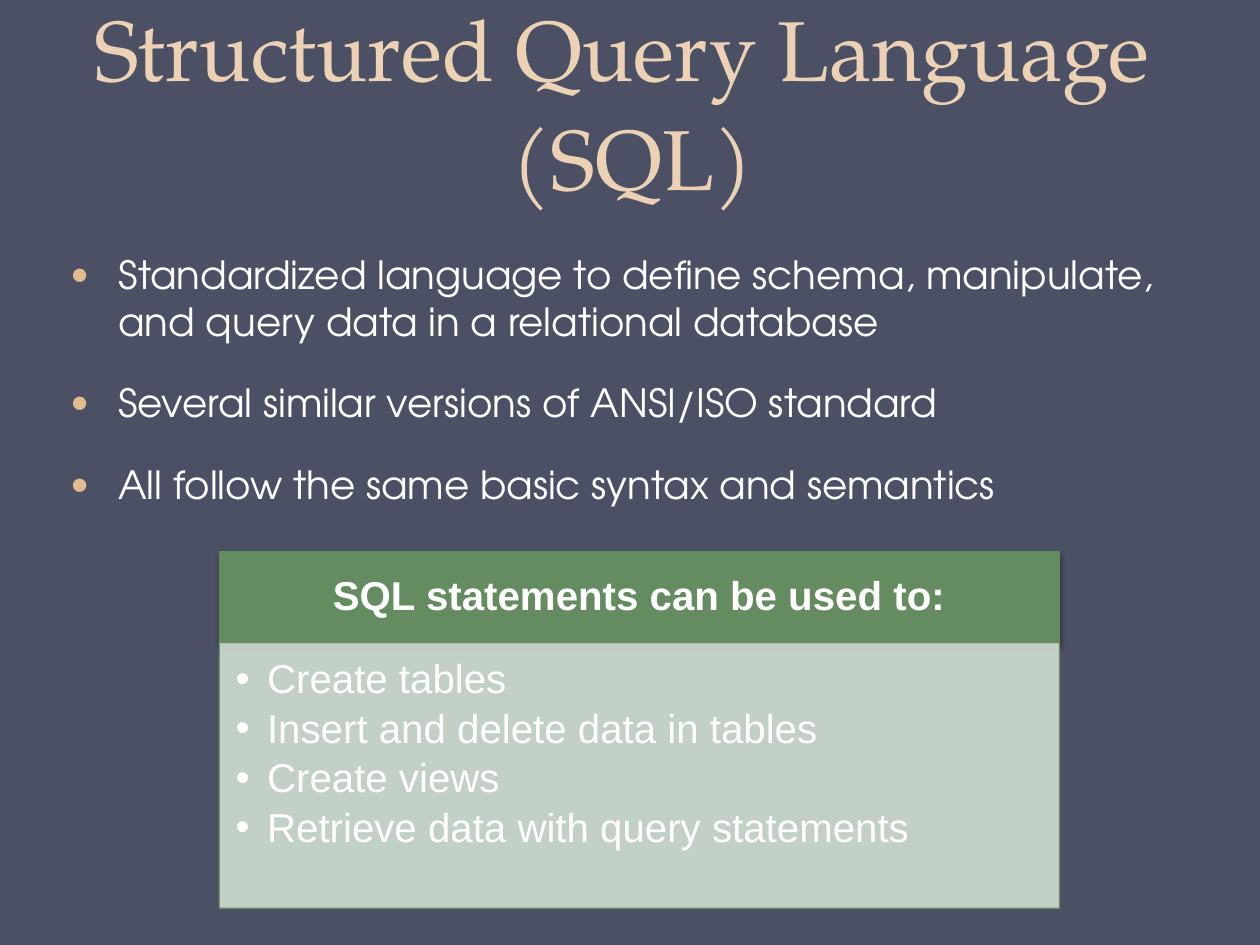
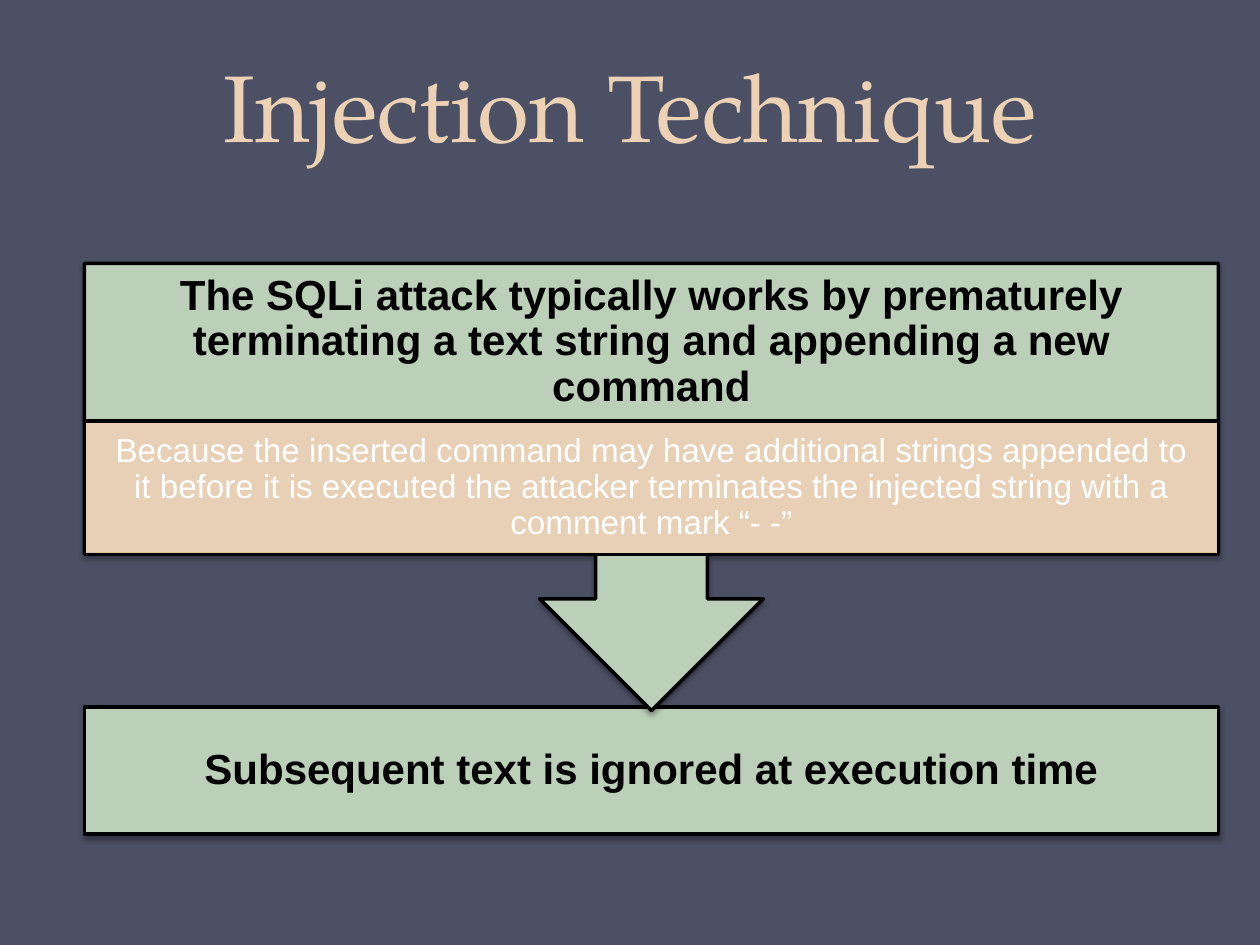
from lxml import etree
from pptx import Presentation
from pptx.dml.color import RGBColor
from pptx.enum.shapes import MSO_SHAPE
from pptx.enum.text import MSO_ANCHOR, PP_ALIGN
from pptx.oxml.ns import qn
from pptx.util import Inches, Pt

RECTANGLE = MSO_SHAPE.RECTANGLE
ARROW_CALLOUT = MSO_SHAPE.UP_ARROW_CALLOUT
TOP, MIDDLE, BOTTOM = MSO_ANCHOR.TOP, MSO_ANCHOR.MIDDLE, MSO_ANCHOR.BOTTOM
LEFT, CENTER = PP_ALIGN.LEFT, PP_ALIGN.CENTER

COLORS = {
    "background": "4B5064",
    "title": "ECD1B5",
    "body": "FEFEFE",
    "body bullet": "E3BB91",
    "white": "FFFFFF",
    "black": "000000",
    "green": "648C60",
    "pale green": "D1DED0",
    "soft green": "BBCFB9",
    "sand": "ECD1B5",
}
TITLE_FONT = "TeX Gyre Pagella"
BODY_FONT = "TeX Gyre Adventor"
PANEL_FONT = "Arial"
TEXT_INSETS = (0.1, 0.05, 0.1, 0.05)


def color(name):
    """Return the named colour."""
    return RGBColor.from_string(COLORS[name])


def add_xml(parent, tag, **attributes):
    """Append a DrawingML element and return it."""
    element = etree.SubElement(parent, qn(tag))
    for name, value in attributes.items():
        element.set(name, str(value))
    return element


def add_bullet(paragraph, character, color_name, indent, percent=100):
    """Give a paragraph a hanging bullet."""
    properties = paragraph._p.get_or_add_pPr()
    properties.set("marL", str(Inches(indent)))
    properties.set("indent", str(-Inches(indent)))
    bullet_color = add_xml(properties, "a:buClr")
    add_xml(bullet_color, "a:srgbClr", val=COLORS[color_name])
    add_xml(properties, "a:buSzPct", val=percent * 1000)
    add_xml(properties, "a:buFont", typeface="Arial")
    add_xml(properties, "a:buChar", char=character)


def write(shape, lines, font, size, color_name, insets=TEXT_INSETS, anchor=MIDDLE,
          align=CENTER, bold=False, spacing=None, gap=0, bullet=None):
    """Write one paragraph per line into a shape."""
    frame = shape.text_frame
    frame.word_wrap = True
    frame.vertical_anchor = anchor
    frame.margin_left, frame.margin_top, frame.margin_right, frame.margin_bottom = map(Inches, insets)
    for index, line in enumerate(lines):
        paragraph = frame.add_paragraph() if index else frame.paragraphs[0]
        paragraph.text = line
        paragraph.alignment = align
        paragraph.line_spacing = spacing
        paragraph.space_before = Pt(gap if index else 0)
        if bullet:
            add_bullet(paragraph, *bullet)
        for run in paragraph.runs:
            run.font.name = font
            run.font.size = Pt(size)
            run.font.bold = bold
            run.font.color.rgb = color(color_name)


def add_text_box(slide, box, lines, font, size, color_name, **layout):
    """Add a text box at the given place."""
    text_box = slide.shapes.add_textbox(*map(Inches, box))
    write(text_box, lines, font, size, color_name, **layout)


def add_panel(slide, box, fill, line, width, kind=RECTANGLE, shadow=False):
    """Add a filled and outlined shape, with a soft shadow on request."""
    shape = slide.shapes.add_shape(kind, *map(Inches, box))
    shape.fill.solid()
    shape.fill.fore_color.rgb = color(fill)
    shape.line.color.rgb = color(line)
    shape.line.width = Pt(width)
    shape.shadow.inherit = False
    if shadow:
        effects = shape._element.spPr.find(qn("a:effectLst"))
        outer = add_xml(effects, "a:outerShdw", blurRad=Pt(3.1), dist=Pt(1.8),
                        dir=90 * 60000, rotWithShape=0)
        shade = add_xml(outer, "a:srgbClr", val=COLORS["black"])
        add_xml(shade, "a:alpha", val=35000)
    return shape


def make_translucent(shape, parts):
    """Set the named parts of a shape to 90 percent opacity."""
    for part in parts:
        holder = shape._element.spPr.find(qn(part))
        add_xml(next(holder.iter(qn("a:srgbClr"))), "a:alpha", val=90000)


def add_titled_slide(presentation, title, box, size):
    """Add a slide with the shared background and title style."""
    slide = presentation.slides.add_slide(presentation.slide_layouts[6])
    slide.background.fill.solid()
    slide.background.fill.fore_color.rgb = color("background")
    add_text_box(slide, box, [title], TITLE_FONT, size, "title", anchor=BOTTOM, spacing=1.07)
    return slide


def add_list_card(slide, box, heading, items, header_height):
    """Add a card with a green header above a bulleted list."""
    left, top, width, height = box
    header = add_panel(slide, (left, top, width, header_height), "green", "green", 0.75, shadow=True)
    write(header, [heading], PANEL_FONT, 23, "white", insets=(0.18, 0.1, 0.18, 0.1),
          bold=True, spacing=0.9)
    content = add_panel(slide, (left, top + header_height, width, height - header_height),
                        "pale green", "green", 0.75)
    make_translucent(content, ("a:solidFill", "a:ln"))
    write(content, items, PANEL_FONT, 23, "white", insets=(0.13, 0.13, 0.18, 0.2), anchor=TOP,
          align=LEFT, spacing=0.9, gap=3.5, bullet=("•", "white", 0.25))


def add_process(slide, box, cause, detail, result):
    """Add a callout with a detail band, pointing down to a result bar."""
    left, top, width, height = box
    callout_height, cause_height, detail_height, result_height = 3.55, 1.25, 1.06, 1.01
    heading = dict(insets=(0.19,) * 4, bold=True, spacing=0.9)

    result_bar = add_panel(slide, (left, top + height - result_height, width, result_height),
                           "soft green", "black", 2, shadow=True)
    write(result_bar, [result], PANEL_FONT, 24, "black", **heading)

    callout = add_panel(slide, (left, top, width, callout_height), "soft green", "black", 2,
                        kind=ARROW_CALLOUT, shadow=True)
    callout.rotation = 180
    for index, value in enumerate((0.25, 0.25, 0.25, 0.65)):
        callout.adjustments[index] = value
    add_text_box(slide, (left, top, width, cause_height), [cause], PANEL_FONT, 24, "black", **heading)

    detail_band = add_panel(slide, (left, top + cause_height, width, detail_height), "sand", "black", 2)
    make_translucent(detail_band, ("a:solidFill",))
    write(detail_band, [detail], PANEL_FONT, 19, "white", insets=(0.15, 0.03, 0.15, 0.03), spacing=0.9)


def build_language_slide(presentation):
    """Build the slide that introduces SQL."""
    slide = add_titled_slide(presentation, "Structured Query Language \n(SQL)",
                             (0.02, 0.44, 10, 1.26), 48.6)
    points = [
        "Standardized language to define schema, manipulate, and query data in a relational database",
        "Several similar versions of ANSI/ISO standard",
        "All follow the same basic syntax and semantics",
    ]
    add_text_box(slide, (0.46, 1.94, 9.08, 2.42), points, BODY_FONT, 22.2, "body", anchor=TOP,
                 align=LEFT, gap=20, bullet=("●", "body bullet", 0.38, 80))
    uses = [
        "Create tables",
        "Insert and delete data in tables",
        "Create views",
        "Retrieve data with query statements",
    ]
    add_list_card(slide, (1.74, 4.38, 6.67, 2.83), "SQL statements can be used to:", uses, 0.72)


def build_injection_slide(presentation):
    """Build the slide that explains the injection technique."""
    slide = add_titled_slide(presentation, "Injection Technique", (0.5, -0.42, 9, 1.75), 54)
    add_process(
        slide, (0.67, 2.09, 9, 4.53),
        "The SQLi attack typically works by prematurely terminating a text string "
        "and appending a new command",
        "Because the inserted command may have additional strings appended to it before it is "
        "executed the attacker terminates the injected string with a comment mark “- -”",
        "Subsequent text is ignored at execution time",
    )


def main():
    """Build and save the presentation."""
    presentation = Presentation()
    presentation.slide_width = Inches(10)
    presentation.slide_height = Inches(7.5)
    build_language_slide(presentation)
    build_injection_slide(presentation)
    presentation.save("out.pptx")


if __name__ == "__main__":
    main()
